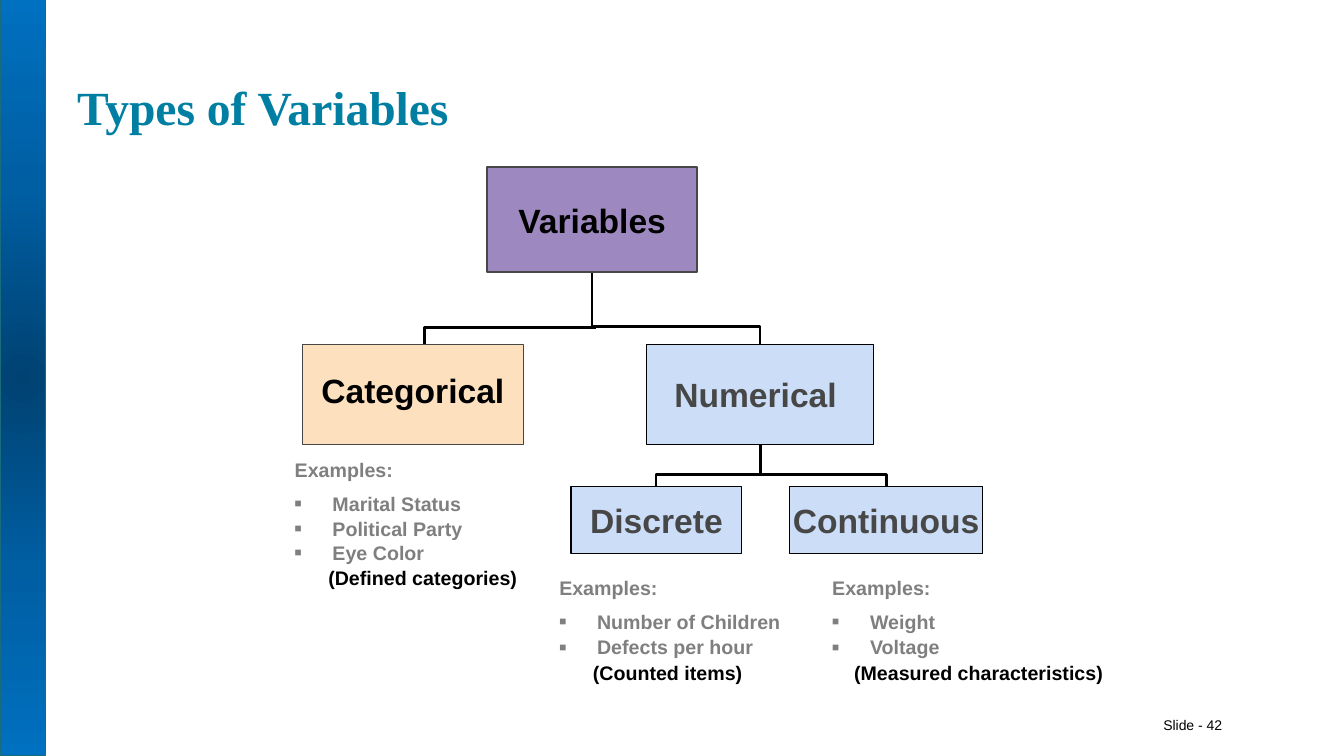
from lxml.etree import SubElement
from pptx import Presentation
from pptx.dml.color import RGBColor
from pptx.enum.shapes import MSO_CONNECTOR, MSO_SHAPE
from pptx.enum.text import MSO_ANCHOR, PP_ALIGN
from pptx.oxml import parse_xml
from pptx.oxml.ns import nsdecls, qn
from pptx.util import Inches, Pt

SLIDE_WIDTH, SLIDE_HEIGHT = Inches(13.33), Inches(7.5)
COLUMNS, ROWS = 160, 90
HANGING = 4.5

BLACK = RGBColor(0, 0, 0)
CHARCOAL = RGBColor(0x47, 0x47, 0x47)
GRAY = RGBColor(0x7F, 0x7F, 0x7F)
TEAL = RGBColor(0x00, 0x7F, 0xA3)
BAND_EDGE = RGBColor(0x1A, 0x6C, 0x7C)
PURPLE = RGBColor(0x3C, 0x15, 0x81)
PEACH = RGBColor(0xFD, 0xE0, 0xBD)
PALE_BLUE = RGBColor(0xCB, 0xDD, 0xF7)
BAND_STOPS = ((0, RGBColor(0x00, 0x42, 0x72)), (50, RGBColor(0x00, 0x5E, 0xA2)),
              (100, RGBColor(0x00, 0x70, 0xC0)))


def across(columns):
    """Convert grid columns to a length."""
    return round(SLIDE_WIDTH * columns / COLUMNS)


def down(rows):
    """Convert grid rows to a length."""
    return round(SLIDE_HEIGHT * rows / ROWS)


def place(column, row, width, height):
    """Convert a grid cell range to left, top, width and height."""
    return across(column), down(row), across(width), down(height)


def write(paragraph, text, size=14, color=BLACK, bold=True, font="Arial",
          align=PP_ALIGN.LEFT, before=0, margin=0, bullet=False):
    """Put formatted text into a paragraph."""
    paragraph.alignment = align
    paragraph.space_before = Pt(before)
    run = paragraph.add_run()
    run.text = text
    run.font.name, run.font.size, run.font.bold = font, Pt(size), bold
    run.font.color.rgb = color
    properties = paragraph._p.get_or_add_pPr()
    properties.set("marL", str(across(margin)))
    properties.set("indent", str(-across(margin) if bullet else 0))
    if bullet:
        tint = SubElement(properties, qn("a:buClr"))
        SubElement(tint, qn("a:srgbClr"), val=str(color))
        SubElement(properties, qn("a:buSzPct"), val="60000")
        SubElement(properties, qn("a:buFont"), typeface="Arial")
        SubElement(properties, qn("a:buChar"), char="■")


def add_text_area(slide, cells, inset=(0.1, 0.05), wrap=True, anchor=MSO_ANCHOR.TOP):
    """Add an empty text box and return its frame."""
    frame = slide.shapes.add_textbox(*place(*cells)).text_frame
    frame.word_wrap, frame.vertical_anchor = wrap, anchor
    frame.margin_left = frame.margin_right = Inches(inset[0])
    frame.margin_top = frame.margin_bottom = Inches(inset[1])
    return frame


def add_block(slide, cells, edge, edge_width):
    """Add an outlined rectangle without shadow."""
    block = slide.shapes.add_shape(MSO_SHAPE.RECTANGLE, *place(*cells))
    block.shadow.inherit = False
    block.line.color.rgb, block.line.width = edge, Pt(edge_width)
    return block


def add_side_band(slide):
    """Add the band with a radial gradient along the left edge."""
    band = add_block(slide, (0, 0, 5.4, ROWS), BAND_EDGE, 0.75)
    stops = "".join(f'<a:gs pos="{share * 1000}"><a:srgbClr val="{color}"/></a:gs>'
                    for share, color in BAND_STOPS)
    gradient = parse_xml(
        f'<a:gradFill {nsdecls("a")} rotWithShape="1"><a:gsLst>{stops}</a:gsLst>'
        '<a:path path="circle"><a:fillToRect l="50000" t="50000" r="50000" b="50000"/>'
        '</a:path></a:gradFill>')
    band._element.spPr.find(qn("a:prstGeom")).addnext(gradient)


def add_node(slide, label, cells, fill, edge=BLACK, color=CHARCOAL, opacity=100, lift=0):
    """Add a labelled box of the tree."""
    node = add_block(slide, cells, edge, 1)
    node.fill.solid()
    node.fill.fore_color.rgb = fill
    if opacity < 100:
        tint = node._element.spPr.find(qn("a:solidFill"))[0]
        SubElement(tint, qn("a:alpha"), val=str(opacity * 1000))
    frame = node.text_frame
    frame.word_wrap, frame.vertical_anchor = False, MSO_ANCHOR.MIDDLE
    frame.margin_bottom = Inches(0.05) + down(lift)
    write(frame.paragraphs[0], label, size=24, color=color, align=PP_ALIGN.CENTER)


def add_elbow(slide, begin, end, bend, width):
    """Add a black elbow that leaves sideways and turns at a share of its run."""
    elbow = slide.shapes.add_connector(MSO_CONNECTOR.ELBOW, *begin, *end)
    elbow.line.color.rgb, elbow.line.width = BLACK, Pt(width)
    properties = elbow._element.spPr
    SubElement(properties, qn("a:effectLst"))
    guides = properties.find(qn("a:prstGeom")).get_or_add_avLst()
    SubElement(guides, qn("a:gd"), name="adj1", fmla=f"val {round(bend * 100000)}")
    return elbow


def add_rising_elbow(slide, child, parent, bend, width):
    """Add an elbow turned upright, from a child up to its parent."""
    (left, bottom), (right, top) = [(across(x), down(y)) for x, y in (child, parent)]
    middle_x, middle_y = (left + right) // 2, (top + bottom) // 2
    half_rise, half_run = (bottom - top) // 2, abs(right - left) // 2
    leftward = right < left
    reach = half_rise if leftward else -half_rise
    elbow = add_elbow(slide, (middle_x + reach, middle_y - half_run),
                      (middle_x - reach, middle_y + half_run), bend, width)
    degrees = 90 if leftward else 270
    elbow._element.spPr.find(qn("a:xfrm")).set("rot", str(degrees * 60000))


def add_examples(slide, cells, examples, summary, summary_margin=4):
    """Add a list of examples closed by a summary in brackets."""
    frame = add_text_area(slide, cells, inset=(0.09, 0.05))
    write(frame.paragraphs[0], "Examples:", color=GRAY)
    gaps = (7.5, 1.2, 0)
    for example, gap in zip(examples, gaps):
        write(frame.add_paragraph(), example, color=GRAY, before=gap,
              margin=HANGING, bullet=True)
    write(frame.add_paragraph(), summary, before=1.2, margin=summary_margin)


def main():
    """Build the slide on the types of variables."""
    presentation = Presentation()
    presentation.slide_width, presentation.slide_height = SLIDE_WIDTH, SLIDE_HEIGHT
    slide = presentation.slides.add_slide(presentation.slide_layouts[6])

    number = add_text_area(slide, (137.3, 84.7, 9.7, 3.2), wrap=False)
    write(number.paragraphs[0], "Slide - 42", size=10, bold=False)
    add_side_band(slide)
    title = add_text_area(slide, (8, 2.9, 144, 14.4), inset=(0.1, 0.1),
                          anchor=MSO_ANCHOR.BOTTOM)
    write(title.paragraphs[0], "Types of Variables", size=34, color=TEAL,
          font="Times New Roman")

    for child_column in (105.5, 78.1):
        add_rising_elbow(slide, (child_column, 58), (90.5, 53), 0.3, 2)
    add_rising_elbow(slide, (90.5, 41), (70.5, 32.5), 0.25, 1.75)
    add_elbow(slide, (across(49), down(41.5)), (across(71), down(39)), 0.07, 1.75)

    add_node(slide, "Variables", (58, 19.9, 25, 12.5), PURPLE, CHARCOAL, BLACK, opacity=50)
    add_node(slide, "Categorical", (36, 41, 26.3, 11.9), PEACH, CHARCOAL, BLACK, lift=1)
    add_node(slide, "Numerical ", (77, 41, 27, 11.9), PALE_BLUE)
    add_node(slide, "Discrete", (68, 57.9, 20.3, 8), PALE_BLUE)
    add_node(slide, "Continuous", (94, 57.9, 23, 8), PALE_BLUE)

    add_examples(slide, (34, 53.9, 33, 17.3),
                 ("Marital Status", "Political Party", "Eye Color"), "(Defined categories)")
    add_examples(slide, (65.5, 68, 30, 14.4),
                 ("Number of Children", "Defects per hour"), "(Counted items)")
    add_examples(slide, (98, 68, 36, 14.4),
                 ("Weight", "Voltage"), "(Measured characteristics)", summary_margin=2.6)

    presentation.save("out.pptx")


if __name__ == "__main__":
    main()
